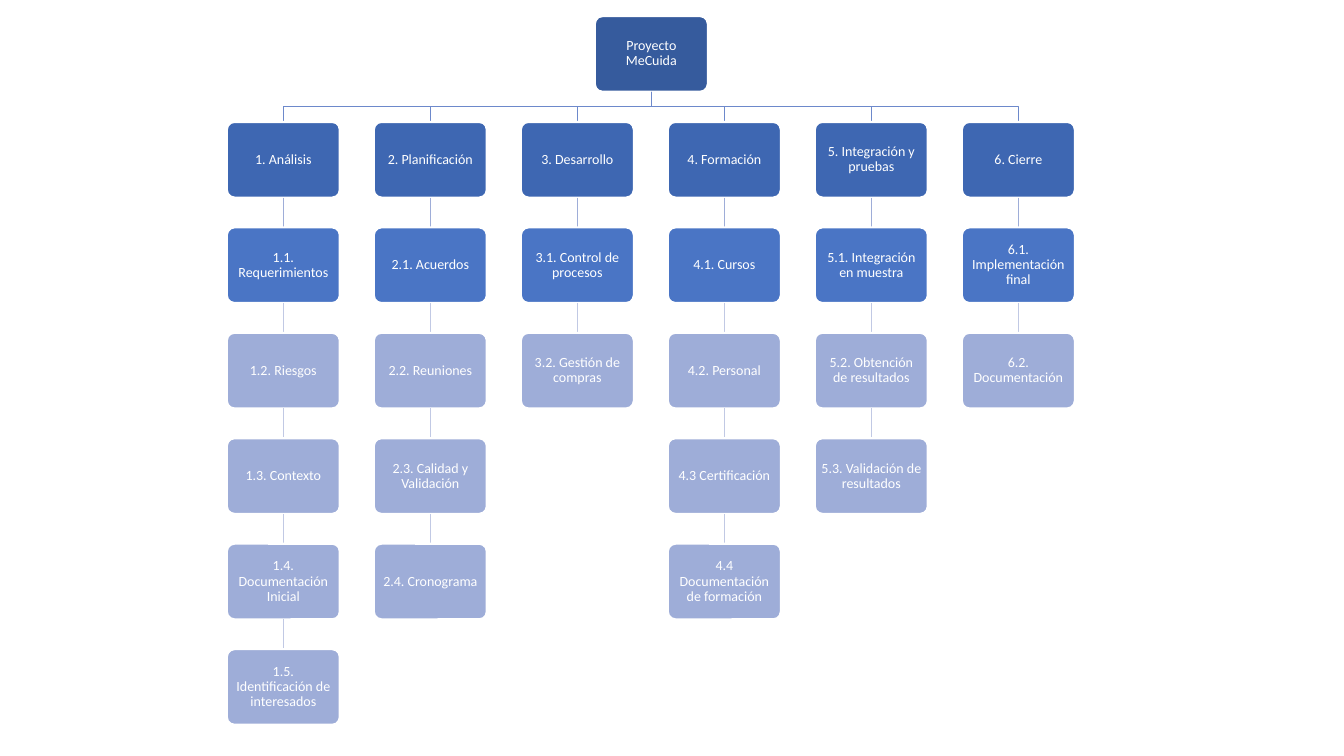
from lxml import etree
from pptx import Presentation
from pptx.dml.color import RGBColor
from pptx.enum.shapes import MSO_CONNECTOR, MSO_SHAPE
from pptx.enum.text import MSO_ANCHOR, PP_ALIGN
from pptx.oxml.ns import qn
from pptx.util import Inches, Pt

ROUNDED = MSO_SHAPE.ROUNDED_RECTANGLE
STRAIGHT = MSO_CONNECTOR.STRAIGHT
MIDDLE = MSO_ANCHOR.MIDDLE
CENTER = PP_ALIGN.CENTER
BOTTOM_SITE, TOP_SITE = 2, 0

PROJECT = "Proyecto MeCuida"
PHASES = [
    ("1. Análisis", "1.1. Requerimientos", "1.2. Riesgos", "1.3. Contexto",
     "1.4. Documentación Inicial", "1.5. Identificación de interesados"),
    ("2. Planificación", "2.1. Acuerdos", "2.2. Reuniones",
     "2.3. Calidad y Validación", "2.4. Cronograma"),
    ("3. Desarrollo", "3.1. Control de procesos", "3.2. Gestión de compras"),
    ("4. Formación", "4.1. Cursos", "4.2. Personal", "4.3 Certificación",
     "4.4 Documentación de formación"),
    ("5. Integración y pruebas", "5.1. Integración en muestra",
     "5.2. Obtención de resultados", "5.3. Validación de resultados"),
    ("6. Cierre", "6.1. Implementación final", "6.2. Documentación"),
]

COLORS = {
    "project": "365B9D", "phase": "3E67B2", "first_task": "4A75C5", "task": "9EADD8",
    "branch": "6D89CB", "first_link": "9EADD8", "link": "C1C9E4", "white": "FFFFFF",
}
BOX_FILLS = ["phase", "first_task", "task"]
LINK_COLORS = ["branch", "first_link", "link"]

BOX_WIDTH, BOX_HEIGHT = 1.12, 0.75
PROJECT_LEFT, PROJECT_TOP = 5.9, 0.16
FIRST_LEFT, LAST_LEFT = 2.25, 9.54
FIRST_TOP, LAST_TOP = 1.21, 6.44
COLUMN_STEP = (LAST_LEFT - FIRST_LEFT) / (len(PHASES) - 1)
ROW_STEP = (LAST_TOP - FIRST_TOP) / (max(map(len, PHASES)) - 1)


def rgb(name):
    return RGBColor.from_string(COLORS[name])


def add_box(page, text, left, top, *, fill, size=10, font="Calibri", color="white"):
    box = page.shapes.add_shape(ROUNDED, Inches(left), Inches(top),
                                Inches(BOX_WIDTH), Inches(BOX_HEIGHT))
    box.adjustments[0] = 0.1
    box.shadow.inherit = False
    box.fill.solid()
    box.fill.fore_color.rgb = rgb(fill)
    box.line.color.rgb = rgb("white")
    box.line.width = Pt(1.5)
    frame = box.text_frame
    frame.word_wrap = True
    frame.vertical_anchor = MIDDLE
    frame.margin_left = frame.margin_right = Inches(0.04)
    frame.margin_top = frame.margin_bottom = Inches(0.04)
    para = frame.paragraphs[0]
    para.alignment = CENTER
    para.line_spacing = 0.9
    span = para.add_run()
    span.text = text
    span.font.size = Pt(size)
    span.font.name = font
    span.font.color.rgb = rgb(color)
    return box


def add_branch(page, center):
    """Draw the bent line from the project box down to a phase box."""
    start_x = PROJECT_LEFT + BOX_WIDTH / 2
    start_y = PROJECT_TOP + BOX_HEIGHT
    bend_y = (start_y + FIRST_TOP) / 2
    outline = page.shapes.build_freeform(Inches(start_x), Inches(start_y))
    corners = [(start_x, bend_y), (center, bend_y), (center, FIRST_TOP)]
    outline.add_line_segments([(Inches(x), Inches(y)) for x, y in corners], close=False)
    branch = outline.convert_to_shape()
    branch.shadow.inherit = False
    branch.fill.background()
    branch.line.color.rgb = rgb("branch")
    branch.line.width = Pt(1)


def add_link(page, upper_box, center, top, *, color):
    """Start a link at the upper box; the caller joins its lower end."""
    x, y = Inches(center), Inches(top)
    link = page.shapes.add_connector(STRAIGHT, x, y, x, y)
    link.begin_connect(upper_box, BOTTOM_SITE)
    link.line.color.rgb = rgb(color)
    link.line.width = Pt(1)
    properties = link._element.find(qn("p:spPr"))
    etree.SubElement(properties, qn("a:effectLst"))
    return link


def main():
    deck = Presentation()
    deck.slide_width, deck.slide_height = Inches(13.33), Inches(7.5)
    page = deck.slides.add_slide(deck.slide_layouts[6])
    add_box(page, PROJECT, PROJECT_LEFT, PROJECT_TOP, fill="project")

    for column, names in enumerate(PHASES):
        left = FIRST_LEFT + column * COLUMN_STEP
        center = left + BOX_WIDTH / 2
        add_branch(page, center)
        upper_box = None
        for row, name in enumerate(names):
            top = FIRST_TOP + row * ROW_STEP
            level = min(row, 2)
            link = None
            if upper_box is not None:
                link = add_link(page, upper_box, center, top, color=LINK_COLORS[level])
            box = add_box(page, name, left, top, fill=BOX_FILLS[level])
            if link is not None:
                link.end_connect(box, TOP_SITE)
            upper_box = box

    deck.save("out.pptx")


if __name__ == "__main__":
    main()
